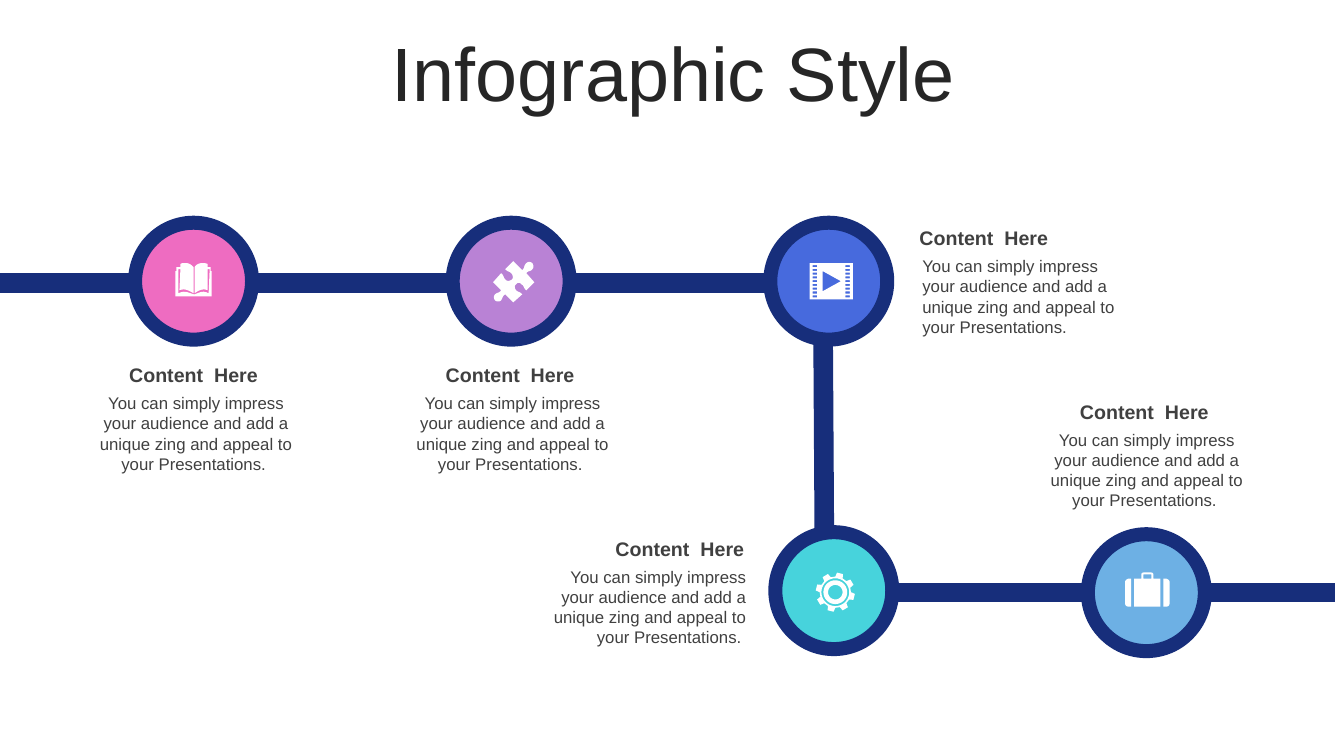
from math import cos, pi, sin

from lxml import etree
from pptx import Presentation
from pptx.dml.color import RGBColor
from pptx.enum.shapes import MSO_CONNECTOR, MSO_SHAPE
from pptx.enum.text import MSO_ANCHOR, MSO_AUTO_SIZE, PP_ALIGN
from pptx.oxml.ns import qn
from pptx.util import Inches, Pt

LEFT, CENTER, RIGHT = PP_ALIGN.LEFT, PP_ALIGN.CENTER, PP_ALIGN.RIGHT
MIDDLE, TOP = MSO_ANCHOR.MIDDLE, MSO_ANCHOR.TOP
NO_FIT, GROW = MSO_AUTO_SIZE.NONE, MSO_AUTO_SIZE.SHAPE_TO_FIT_TEXT
ELLIPSE, STRAIGHT = MSO_SHAPE.OVAL, MSO_CONNECTOR.STRAIGHT

NAVY, WHITE, INK, TEXT = "172E7B", "FFFFFF", "262626", "404040"
CIRCLE = 1.16
HEADING = "Content  Here"
BODY = ("You can simply impress your audience and add a unique zing "
        "and appeal to your Presentations. ")

BOOK = """M 18 31 L 19 31 C 25 29 27 27 33 30 L 34 6 L 32 6 L 32 27
C 28 25 23 27 19 30 L 19 4 C 21 1 24 0 27 0 C 28 0 30 0 32 1 L 32 4 L 35 4
L 35 8 L 36 8 L 36 33 L 0 33 L 0 8 L 1 8 L 1 4 L 5 4 L 5 1 C 6 0 8 0 10 0
C 13 0 15 1 18 4 L 18 30 C 13 27 9 25 4 27 L 5 6 L 3 6 L 3 30
C 9 27 12 29 18 31"""
PUZZLE = """M 39 2 C 40 4 41 6 39 8 C 37 11 35 9 33 12 L 41 21 L 33 29
C 30 27 31 24 28 23 C 27 21 24 21 23 23 C 21 24 21 27 23 29
C 25 31 26 30 29 33 L 20 41 L 12 33 C 9 35 10 36 8 39 C 6 41 3 40 2 39
C 1 38 0 35 2 33 C 4 31 6 32 8 29 L 0 21 L 8 12 C 11 14 10 17 13 19
C 14 20 17 20 19 18 C 20 17 20 14 18 12 C 16 10 15 11 12 8 L 20 0 L 29 9
C 32 6 30 5 33 2 C 35 0 38 1 39 2"""
BRIEFCASE = """M 38 6 L 40 6 C 42 6 44 8 44 9 L 44 31 C 44 33 42 34 40 34 L 38 34
M 4 6 L 6 6 L 6 34 L 4 34 C 2 34 0 33 0 31 L 0 9 C 0 8 2 6 4 6
M 18 2 L 18 6 L 26 6 L 26 2
M 18 0 L 26 0 C 27 0 28 1 28 2 L 28 6 L 35 6 L 35 34 L 9 34 L 9 6 L 16 6
L 16 2 C 16 1 17 0 18 0"""


def color(value):
    return RGBColor.from_string(value)


def bezier(points, t):
    weights = ((1 - t) ** 3, 3 * t * (1 - t) ** 2, 3 * t * t * (1 - t), t ** 3)
    return tuple(sum(w * pt[axis] for w, pt in zip(weights, points)) for axis in (0, 1))


def outlines(drawing, steps=6):
    contours = []
    tokens = iter(drawing.split())
    for command in tokens:
        count = 3 if command == "C" else 1
        points = [(float(next(tokens)), float(next(tokens))) for _ in range(count)]
        if command == "M":
            contours.append(points)
        elif command == "L":
            contours[-1].extend(points)
        else:
            curve = [contours[-1][-1]] + points
            contours[-1].extend(bezier(curve, i / steps) for i in range(1, steps + 1))
    return contours


def rectangle(x, y, w, h):
    return [(x, y), (x + w, y), (x + w, y + h), (x, y + h)]


def film():
    holes = [rectangle(x, 2 + 3.75 * row, 4.5, 2) for x in (3, 35.5) for row in range(9)]
    return [rectangle(0, 0, 43, 36), [(13, 8), (13, 28), (31, 18)]] + holes


def gear(center=19.5, teeth=8):
    def at(radius, degrees):
        angle = degrees * pi / 180
        return center + radius * cos(angle), center + radius * sin(angle)

    profile = ((15.5, -14), (19.5, -9), (19.5, 9), (15.5, 14))
    rim = [at(radius, 14 + 360 / teeth * tooth + turn)
           for tooth in range(teeth) for radius, turn in profile]
    return [rim] + [[at(radius, turn) for turn in range(0, 360, 10)]
                    for radius in (13.8, 11.8, 7.2)]


def add_title(s, x, y, w, h):
    sp = s.shapes.title
    sp.left, sp.top, sp.width, sp.height = (Inches(v) for v in (x, y, w, h))
    write(sp, "Infographic Style", CENTER, MIDDLE, NO_FIT,
          {"size": Pt(54), "bold": False}, INK)
    sp.text_frame.paragraphs[0].line_spacing = 0.9


def write(sp, text, align, anchor, fit, font, ink):
    tf = sp.text_frame
    for name, value in {"word_wrap": True, "auto_size": fit, "vertical_anchor": anchor}.items():
        setattr(tf, name, value)
    p = tf.paragraphs[0]
    p.alignment = align
    p.space_before = Pt(0)
    r = p.add_run()
    r.text = text
    for name, value in {"name": "Arial", **font}.items():
        setattr(r.font, name, value)
    r.font.color.rgb = color(ink)


def add_track(s, x1, y1, x2, y2):
    line = s.shapes.add_connector(STRAIGHT, *(Inches(v) for v in (x1, y1, x2, y2)))
    line.line.color.rgb = color(NAVY)
    line.line.width = Pt(14)
    etree.SubElement(line._element.spPr, qn("a:effectLst"))


def add_circle(s, x, y, fill):
    sp = s.shapes.add_shape(ELLIPSE, Inches(x), Inches(y), Inches(CIRCLE), Inches(CIRCLE))
    sp.shadow.inherit = False
    sp.fill.solid()
    sp.fill.fore_color.rgb = color(fill)
    sp.line.color.rgb = color(NAVY)
    sp.line.width = Pt(10)


def add_icon(s, x, y, contours):
    contours = [[(px * 100, py * 100) for px, py in contour] for contour in contours]
    builder = s.shapes.build_freeform(*contours[0][0], scale=Inches(1) / 10000)
    for index, contour in enumerate(contours):
        if index:
            builder.move_to(*contour[0])
        builder.add_line_segments(contour[1:], close=True)
    sp = builder.convert_to_shape(Inches(x), Inches(y))
    sp.shadow.inherit = False
    sp.fill.solid()
    sp.fill.fore_color.rgb = color(WHITE)
    sp.line.fill.background()


def add_caption(s, x, y, align):
    parts = (
        (HEADING, (x, y, 2.28, 0.34), MIDDLE, {"size": Pt(14), "bold": True}),
        (BODY, (x + 0.03, y + 0.3, 2.27, 0.91), TOP, {"size": Pt(12)}),
    )
    for text, box, anchor, font in parts:
        sp = s.shapes.add_textbox(*(Inches(v) for v in box))
        write(sp, text, align, anchor, GROW, font, TEXT)


def add_step(s, x, y, fill, icon, icon_offset, caption_at, align):
    add_circle(s, x, y, fill)
    add_icon(s, x + icon_offset[0], y + icon_offset[1], icon)
    add_caption(s, *caption_at, align)


def main():
    prs = Presentation()
    prs.slide_width, prs.slide_height = Inches(13.33), Inches(7.5)
    s = prs.slides.add_slide(prs.slide_layouts[5])
    add_title(s, 0.35, 0.37, 12.66, 0.79)
    for track in ((-0.1, 2.81, 8.17, 2.81), (8.16, 2.71, 8.18, 5.98),
                  (8.16, 5.88, 13.24, 5.88)):
        add_track(s, *track)
    steps = (
        (1.34, 2.21, "EE6CC1", outlines(BOOK), (0.4, 0.4), (0.78, 3.55), CENTER),
        (4.49, 2.21, "B982D5", outlines(PUZZLE), (0.4, 0.38), (3.92, 3.55), CENTER),
        (7.64, 2.21, "476ADD", film(), (0.39, 0.4), (9.02, 2.19), LEFT),
        (7.69, 5.28, "47D3DC", gear(), (0.4, 0.4), (5.2, 5.27), RIGHT),
        (10.79, 5.3, "6DB0E4", outlines(BRIEFCASE), (0.37, 0.38), (10.21, 3.91), CENTER),
    )
    for step in steps:
        add_step(s, *step)
    prs.save("out.pptx")


if __name__ == "__main__":
    main()
